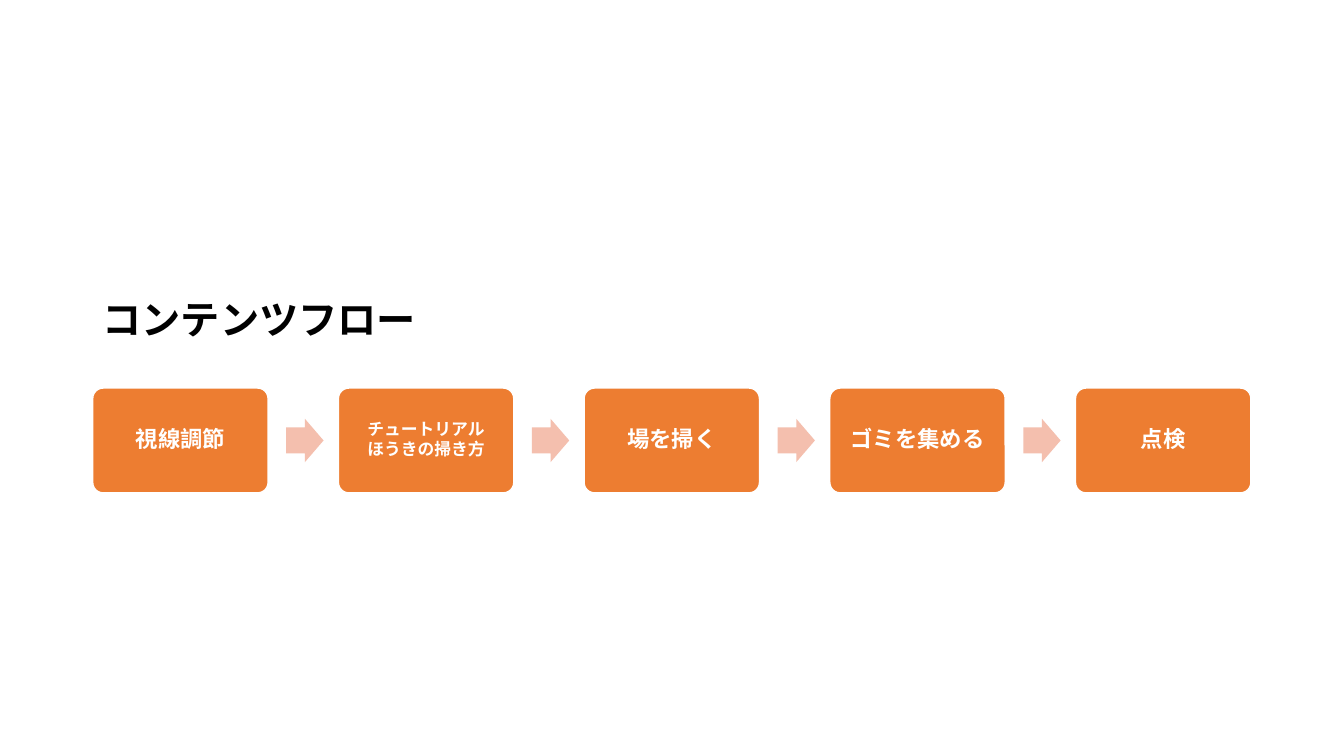
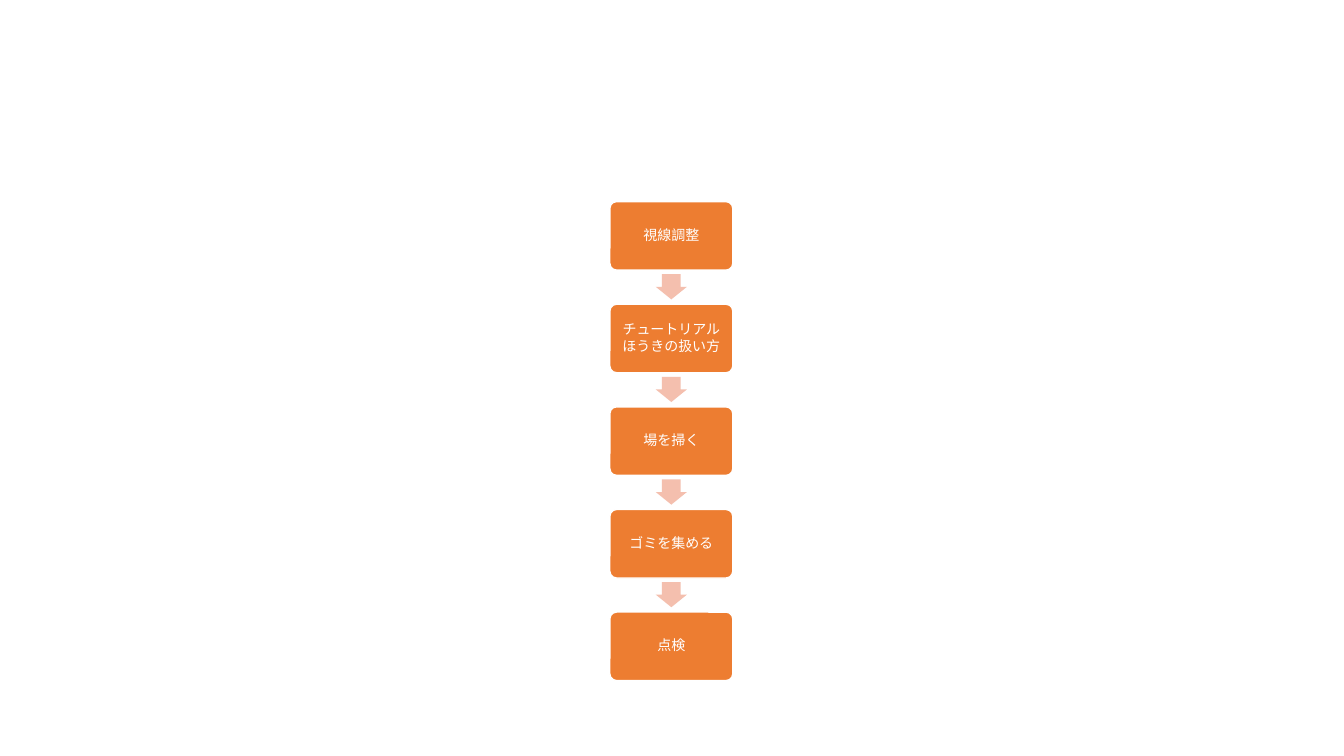
from dataclasses import dataclass

from lxml.etree import SubElement
from pptx import Presentation
from pptx.dml.color import RGBColor
from pptx.enum.shapes import MSO_SHAPE as Preset
from pptx.enum.text import MSO_ANCHOR as Anchor, MSO_AUTO_SIZE as AutoSize, PP_ALIGN as Align
from pptx.oxml.ns import qn
from pptx.util import Pt


@dataclass(frozen=True)
class Theme:
    """Colours, typeface and type sizes shared by the slides."""
    step: RGBColor = RGBColor(0xED, 0x7D, 0x31)
    arrow: RGBColor = RGBColor(0xF4, 0xBF, 0xAE)
    white: RGBColor = RGBColor(0xFF, 0xFF, 0xFF)
    black: RGBColor = RGBColor(0, 0, 0)
    font: str = "Noto Sans CJK JP"
    title_size: int = 28
    step_size: int = 16
    detail_size: int = 12
    small_size: int = 10


@dataclass(frozen=True)
class Flow:
    """Geometry of a chain of steps, in points."""
    left: float
    top: float
    width: float
    height: float
    pitch: float
    arrow_length: float
    arrow_breadth: float
    arrow_centre: float  # from the start of a step, along the flow
    vertical: bool = False
    bold: bool = False


THEME = Theme()
ACROSS = Flow(66.24, 277.2, 125.28, 74.88, 175.5, 26.64, 30.96, 151.56, bold=True)
DOWN = Flow(435.6, 144, 87.84, 48.96, 73.3, 18, 22.32, 60.84, vertical=True)


def style_text(paragraph, size, color, bold):
    """Format every run of a paragraph, for Latin and East Asian text."""
    for run in paragraph.runs:
        font = run.font
        font.size, font.bold, font.name = Pt(size), bold, THEME.font
        font.color.rgb = color
        SubElement(font._element, qn("a:ea"), typeface=THEME.font)


def add_solid(slide, preset, left, top, width, height, color):
    """Add a flat preset shape without outline."""
    solid = slide.shapes.add_shape(preset, Pt(left), Pt(top), Pt(width), Pt(height))
    solid.shadow.inherit = False
    solid.fill.solid()
    solid.fill.fore_color.rgb = color
    solid.line.fill.background()
    return solid


def add_step(slide, flow, left, top, label, size):
    """Add one rounded step with its centred label."""
    step = add_solid(slide, Preset.ROUNDED_RECTANGLE, left, top, flow.width, flow.height, THEME.step)
    step.adjustments[0] = 0.1
    step.line.color.rgb = THEME.white
    step.line.width = Pt(1)
    frame = step.text_frame
    frame.word_wrap = True
    frame.vertical_anchor = Anchor.MIDDLE
    frame.margin_left = frame.margin_right = frame.margin_top = frame.margin_bottom = Pt(0.3 * size)
    frame.text = label
    for paragraph in frame.paragraphs:
        paragraph.alignment = Align.CENTER
        paragraph.line_spacing = 0.9
        paragraph.space_after = Pt(round(0.12 * size, 2))
        style_text(paragraph, size, THEME.white, flow.bold)


def add_arrow(slide, flow, centre_x, centre_y):
    """Add an arrow pointing along the flow, placed by its centre."""
    arrow = add_solid(slide, Preset.RIGHT_ARROW, centre_x - flow.arrow_length / 2,
                      centre_y - flow.arrow_breadth / 2, flow.arrow_length,
                      flow.arrow_breadth, THEME.arrow)
    arrow.adjustments[0], arrow.adjustments[1] = 0.6, 0.5
    arrow.rotation = 90 if flow.vertical else 0


def add_flow(slide, flow, steps):
    """Lay out (label, size) steps at equal pitch with arrows between them."""
    for index, (label, size) in enumerate(steps):
        left, top = flow.left, flow.top
        if flow.vertical:
            top += index * flow.pitch
            centre = left + flow.width / 2, top + flow.arrow_centre
        else:
            left += index * flow.pitch
            centre = left + flow.arrow_centre, top + flow.height / 2
        add_step(slide, flow, left, top, label, size)
        if index < len(steps) - 1:
            add_arrow(slide, flow, *centre)


def add_title(slide, text):
    """Add the heading above the flow."""
    title = slide.shapes.add_textbox(Pt(66.24), Pt(207.36), Pt(282.24), Pt(41.04))
    frame = title.text_frame
    frame.word_wrap = True
    frame.auto_size = AutoSize.SHAPE_TO_FIT_TEXT
    frame.text = text
    style_text(frame.paragraphs[0], THEME.title_size, THEME.black, True)


def main():
    """Build both slides and save the deck."""
    deck = Presentation()
    deck.slide_width, deck.slide_height = Pt(960), Pt(540)
    blank = deck.slide_layouts[6]

    overview = deck.slides.add_slide(blank)
    add_flow(overview, ACROSS, [
        ("視線調節", THEME.step_size),
        ("チュートリアル\nほうきの掃き方", THEME.detail_size),
        ("場を掃く", THEME.step_size),
        ("ゴミを集める", THEME.step_size),
        ("点検", THEME.step_size),
    ])
    add_title(overview, "コンテンツフロー")

    column = deck.slides.add_slide(blank)
    labels = ["視線調整", "チュートリアル\nほうきの扱い方", "場を掃く", "ゴミを集める", "点検"]
    add_flow(column, DOWN, [(label, THEME.small_size) for label in labels])

    deck.save("out.pptx")


main()
